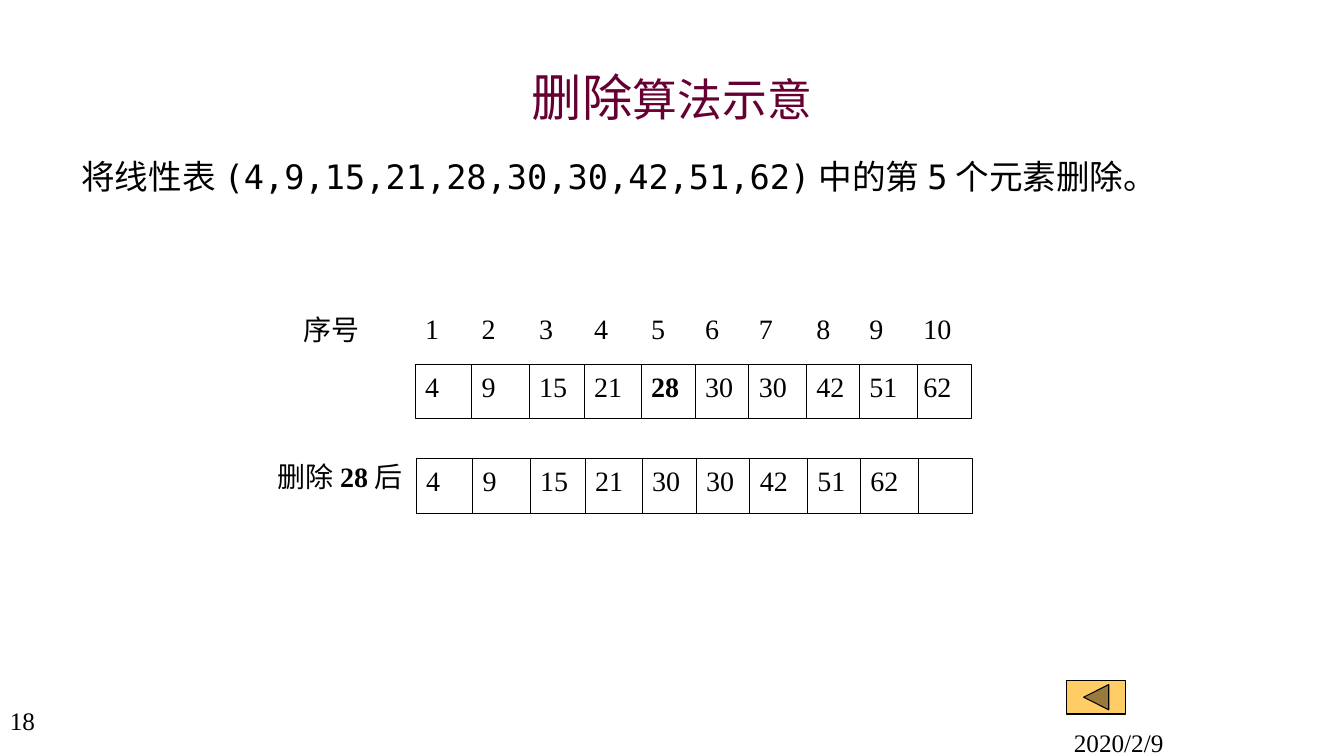
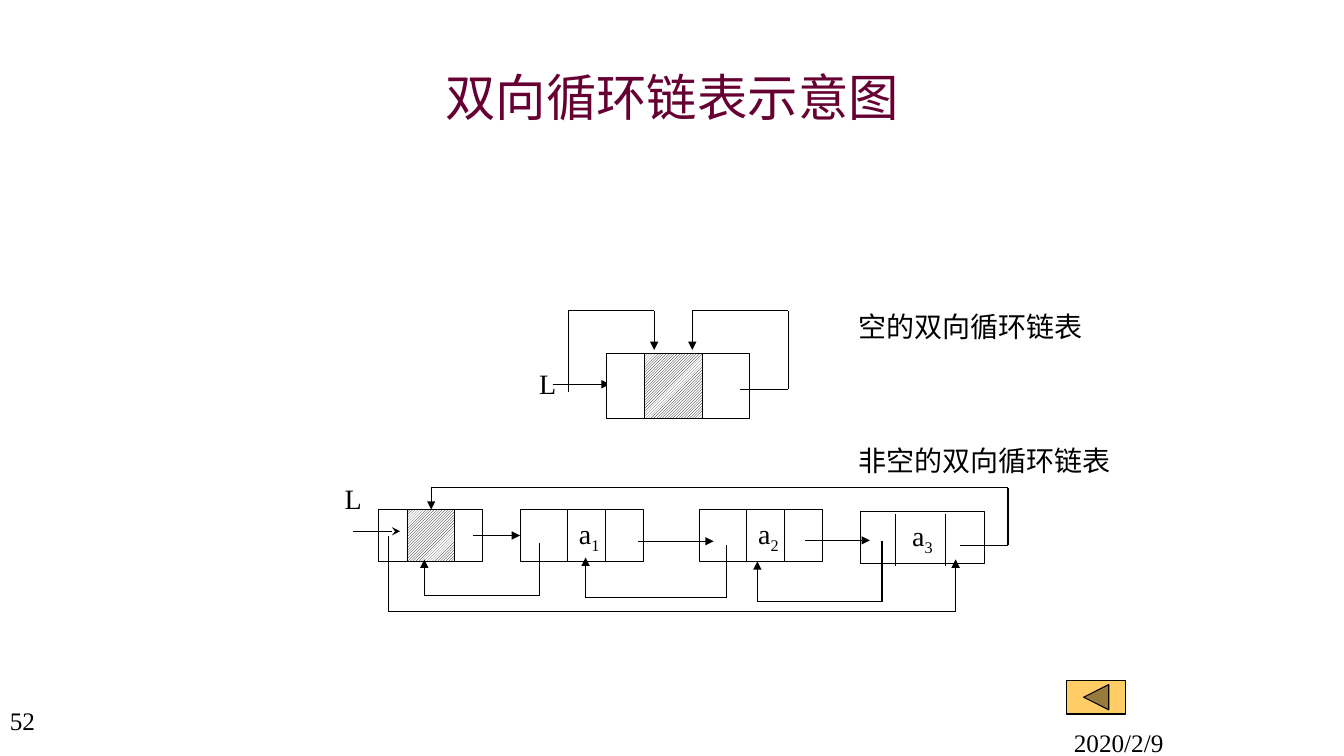
"""Builds two slides: deletion from a sequential list, and circular doubly linked lists."""
from dataclasses import dataclass
from itertools import pairwise

from lxml.etree import SubElement
from pptx import Presentation
from pptx.dml.color import RGBColor
from pptx.enum.dml import MSO_PATTERN_TYPE as PATTERN
from pptx.enum.shapes import MSO_CONNECTOR as CONNECTOR, MSO_SHAPE as SHAPE
from pptx.enum.text import MSO_ANCHOR as ANCHOR, PP_ALIGN as ALIGN
from pptx.oxml.ns import qn
from pptx.util import Pt


@dataclass(frozen=True)
class Theme:
    ink: RGBColor = RGBColor(0, 0, 0)
    paper: RGBColor = RGBColor(255, 255, 255)
    title: RGBColor = RGBColor(0x66, 0x00, 0x33)
    button: RGBColor = RGBColor(0xFF, 0xCC, 0x66)
    serif: str = "Times New Roman"
    sans: str = "Arial"
    mono: str = "DejaVu Sans Mono"
    chinese: str = "Noto Sans CJK SC"
    title_size: int = 36
    title_small: int = 32
    body_size: int = 24
    label_size: int = 20
    footer_size: int = 18
    line: float = 0.75


THEME = Theme()
DATE = "2020/2/9"

DELETION_TITLE = [
    ("删除", {}),
    ("算法示意", {"size": THEME.title_small, "font": THEME.sans}),
]
DELETION_TASK = [
    ("将线性表", {"font": THEME.chinese}),
    ("(4,9,15,21,28,30,30,42,51,62)中的", {}),
    ("第", {"font": THEME.chinese}),
    ("5", {}),
    ("个元素删除。", {"font": THEME.chinese}),
]
BEFORE = [4, 9, 15, 21, 28, 30, 30, 42, 51, 62]
DELETED_POSITION = 5
DELETED = BEFORE[DELETED_POSITION - 1]
AFTER = BEFORE[:DELETED_POSITION - 1] + BEFORE[DELETED_POSITION:] + [""]
COLUMN_LEFTS = [296.6, 337, 378, 417.4, 458, 496.6, 535, 576, 614, 652.5]
CELL_WIDTH, CELL_HEIGHT = 41.5, 38.8
INDEX_TOP, BEFORE_TOP, AFTER_TOP = 219, 260.3, 327.8

LIST_TITLE = [("双向循环链表示意图", {})]
LIST_LABELS = [
    ("空的双向循环链表", (606, 217.5, 180, 36)),
    ("非空的双向循环链表", (606, 313.5, 204, 36)),
]
POINTER_LABELS = [(378, 251, 28, 46), (239, 338.5, 24, 35)]
EMPTY_HEAD = {"left": 433.3, "top": 252.5, "widths": (27.4, 40.8, 34), "height": 46.3}
FULL_HEAD = {"left": 270.5, "top": 364, "widths": (20.5, 34, 20), "height": 37}
NODES = [
    {"number": "1", "left": 371.5, "top": 364, "dividers": (34, 61), "indent": 42, "drop": 0},
    {"number": "2", "left": 499.5, "top": 364, "dividers": (34, 61), "indent": 42, "drop": 0},
    {"number": "3", "left": 615, "top": 365.5, "dividers": (25, 60.5), "indent": 36.5, "drop": 1.5},
]
NODE_WIDTH, NODE_HEIGHT = 88, 37
EMPTY_LINKS = [
    [(406, 280), (406, 222), (467.3, 222), (467.3, 250)],
    [(528.5, 278), (563, 278), (563, 222), (494.5, 222), (494.5, 250)],
]
FULL_LINKS = [
    [(455.8, 386.6), (509.8, 386.6)],
    [(575.3, 386), (621.4, 386)],
    [(277.2, 383), (277.2, 437), (682.6, 437), (682.6, 399.6)],
    [(385.2, 388), (385.2, 425.5), (303.1, 425.5), (303.1, 399.6)],
    [(519.1, 389.5), (519.1, 427), (418.3, 427), (418.3, 398.2)],
    [(630, 386.6), (630, 430), (541, 430), (541, 401)],
]
EMPTY_POINTER = [(395, 274.5), (435.6, 274.5)]
FULL_POINTER = [(252, 379.5), (285.8, 379.5)]
HEAD_TO_FIRST = [(337.7, 382.5), (371.5, 382.5)]
LAST_TO_HEAD = [(686, 389.5), (720, 389.5), (720, 348.5), (308, 348.5), (308, 364)]


def write(shape, runs, size=THEME.label_size, font=THEME.serif, color=THEME.ink,
          align=ALIGN.LEFT, anchor=ANCHOR.TOP):
    text_frame = shape.text_frame
    text_frame.word_wrap = True
    text_frame.vertical_anchor = anchor
    paragraph = text_frame.paragraphs[0]
    paragraph.alignment = align
    for text, style in runs:
        run = paragraph.add_run()
        run.text = text
        run.font.size = Pt(style.get("size", size))
        run.font.bold = style.get("bold", False)
        run.font.name = style.get("font", font)
        run.font.color.rgb = color
        properties = run._r.get_or_add_rPr()
        SubElement(properties, qn("a:ea"), typeface=THEME.chinese)
        if style.get("subscript"):
            properties.set("baseline", "-25000")


def add_text(slide, bounds, runs, **style):
    box = slide.shapes.add_textbox(*map(Pt, bounds))
    write(box, runs, **style)
    return box


def add_box(slide, bounds, kind=SHAPE.RECTANGLE, fill=THEME.paper, hatched=False):
    box = slide.shapes.add_shape(kind, *map(Pt, bounds))
    box.shadow.inherit = False
    if hatched:
        box.fill.patterned()
        box.fill.pattern = PATTERN.LIGHT_UPWARD_DIAGONAL
        box.fill.fore_color.rgb = THEME.ink
        box.fill.back_color.rgb = THEME.paper
    else:
        box.fill.solid()
        box.fill.fore_color.rgb = fill
    box.line.color.rgb = THEME.ink
    box.line.width = Pt(THEME.line)
    return box


def add_line(slide, start, end, arrow=None):
    line = slide.shapes.add_connector(CONNECTOR.STRAIGHT, *map(Pt, (*start, *end)))
    line.line.color.rgb = THEME.ink
    line.line.width = Pt(THEME.line)
    if arrow:
        SubElement(line.line._get_or_add_ln(), qn("a:tailEnd"), type=arrow)
    SubElement(line._element.spPr, qn("a:effectLst"))
    return line


def add_link(slide, points, arrow="triangle"):
    *bends, last = pairwise(points)
    for start, end in bends:
        add_line(slide, start, end)
    return add_line(slide, *last, arrow=arrow)


def add_head(slide, left, top, widths, height):
    cells = []
    for column, width in enumerate(widths):
        cells.append(add_box(slide, (left, top, width, height), hatched=column == 1))
        left += width
    return cells


def add_node(slide, number, left, top, dividers, indent, drop):
    node = add_box(slide, (left, top, NODE_WIDTH, NODE_HEIGHT))
    write(node, [("a", {}), (number, {"subscript": True})], anchor=ANCHOR.MIDDLE)
    node.text_frame.margin_left = Pt(indent)
    for offset in dividers:
        x, y = left + offset, top + drop
        add_line(slide, (x, y), (x, y + NODE_HEIGHT))
    return node


def add_slide(presentation, title, number):
    slide = presentation.slides.add_slide(presentation.slide_layouts[6])
    add_text(slide, (72, 42, 816, 54), title, size=THEME.title_size, font=THEME.chinese,
             color=THEME.title, align=ALIGN.CENTER, anchor=ANCHOR.MIDDLE)
    for text, bounds in ((DATE, (760, 516, 200, 24)), (number, (0, 500, 62, 38))):
        add_text(slide, bounds, [(text, {})], size=THEME.footer_size)
    add_box(slide, (762, 486, 42, 24), SHAPE.ACTION_BUTTON_BACK_OR_PREVIOUS, THEME.button)
    return slide


def add_cells(slide, values, top, shift=0.0, bold_position=None):
    *first_columns, ninth, tenth = range(len(values))
    for column in (*first_columns, tenth, ninth):
        cell = add_box(slide, (COLUMN_LEFTS[column] + shift, top, CELL_WIDTH, CELL_HEIGHT))
        write(cell, [(str(values[column]), {"bold": column + 1 == bold_position})])


def build_deletion(presentation):
    slide = add_slide(presentation, DELETION_TITLE, "18")
    add_text(slide, (51, 108, 885, 60), DELETION_TASK, size=THEME.body_size, font=THEME.mono)
    add_text(slide, (209.5, 220, 61, 44), [("序号", {})])
    for position, left in enumerate(COLUMN_LEFTS, 1):
        add_text(slide, (left, INDEX_TOP, CELL_WIDTH, CELL_HEIGHT), [(str(position), {})])
    add_cells(slide, BEFORE, BEFORE_TOP, bold_position=DELETED_POSITION)
    add_cells(slide, AFTER, AFTER_TOP, shift=0.7)
    add_text(slide, (191, 325, 111, 43),
             [("删除", {}), (str(DELETED), {"bold": True}), ("后", {})])


def build_lists(presentation):
    slide = add_slide(presentation, LIST_TITLE, "52")
    add_link(slide, EMPTY_POINTER)
    add_head(slide, **EMPTY_HEAD)
    head_data = add_head(slide, **FULL_HEAD)[1]
    first_node = [add_node(slide, **node) for node in NODES][0]
    for points in EMPTY_LINKS + FULL_LINKS:
        add_link(slide, points)
    add_link(slide, FULL_POINTER, arrow="stealth")
    add_link(slide, HEAD_TO_FIRST).end_connect(first_node, 1)
    add_link(slide, LAST_TO_HEAD).end_connect(head_data, 0)
    for bounds in POINTER_LABELS:
        add_text(slide, bounds, [("L", {})], anchor=ANCHOR.MIDDLE)
    for text, bounds in LIST_LABELS:
        add_text(slide, bounds, [(text, {})], font=THEME.chinese)


def main():
    presentation = Presentation()
    presentation.slide_width, presentation.slide_height = Pt(960), Pt(540)
    build_deletion(presentation)
    build_lists(presentation)
    presentation.save("out.pptx")


if __name__ == "__main__":
    main()
